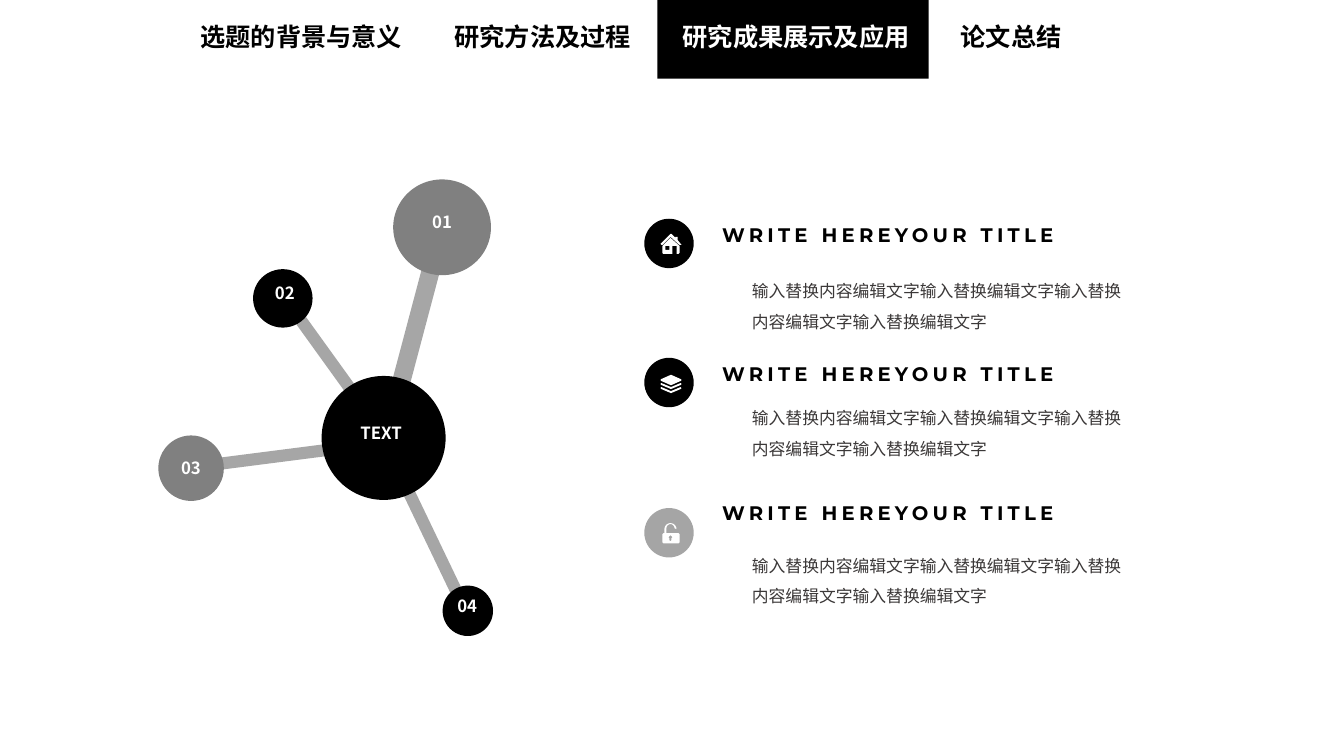
from dataclasses import dataclass
from math import atan2, cos, pi, sin

from lxml.etree import SubElement
from pptx import Presentation
from pptx.dml.color import RGBColor
from pptx.enum.shapes import MSO_SHAPE
from pptx.enum.text import MSO_ANCHOR, MSO_AUTO_SIZE, PP_ALIGN
from pptx.oxml.ns import qn
from pptx.util import Inches, Pt

BLACK = RGBColor(0x00, 0x00, 0x00)
WHITE = RGBColor(0xFF, 0xFF, 0xFF)
INK = RGBColor(0x3B, 0x38, 0x38)
GREY = RGBColor(0x80, 0x80, 0x80)
SPOKE_GREY = RGBColor(0xA6, 0xA6, 0xA6)
ICON_GREY = RGBColor(0xA5, 0xA5, 0xA5)
CJK = "Noto Sans CJK SC"
LATIN = "Montserrat"
BODY = "输入替换内容编辑文字输入替换编辑文字输入替换内容编辑文字输入替换编辑文字"

Point = tuple[float, float]
Outline = list[Point]


@dataclass
class Style:
    size: float
    color: RGBColor
    font: str = CJK
    bold: bool = True
    align: PP_ALIGN = PP_ALIGN.LEFT
    line_spacing: float = 1.0
    tracking: float = 0


@dataclass
class Tab:
    text: str
    left: float
    width: float


@dataclass
class Spoke:
    start: Point
    end: Point
    radius: float


@dataclass
class Node:
    text: str
    left: float
    top: float
    width: float
    height: float
    color: RGBColor
    label_left: float
    label_top: float
    label_width: float = 0.97


@dataclass
class Item:
    title_top: float
    body_top: float
    icon_top: float
    icon_color: RGBColor
    icon: list[Outline]


def write(sp, text: str, style: Style, wrap: bool = True) -> None:
    tf = sp.text_frame
    tf.word_wrap = wrap
    tf.auto_size = MSO_AUTO_SIZE.SHAPE_TO_FIT_TEXT
    tf.vertical_anchor = MSO_ANCHOR.TOP
    p = tf.paragraphs[0]
    p.text = text
    p.alignment = style.align
    p.line_spacing = style.line_spacing
    p.font.size = Pt(style.size)
    p.font.bold = style.bold
    p.font.name = style.font
    p.font.color.rgb = style.color
    props = p._p.pPr.find(qn("a:defRPr"))
    SubElement(props, qn("a:ea")).set("typeface", style.font)
    if style.tracking:
        props.set("spc", str(int(style.tracking * 100)))


def add_text(s, text: str, left: float, top: float, width: float, height: float,
             style: Style, wrap: bool = True) -> None:
    sp = s.shapes.add_textbox(Inches(left), Inches(top), Inches(width), Inches(height))
    write(sp, text, style, wrap)


def paint(sp, color: RGBColor) -> None:
    sp.shadow.inherit = False
    sp.fill.solid()
    sp.fill.fore_color.rgb = color
    sp.line.fill.background()


def add_solid(s, kind: MSO_SHAPE, left: float, top: float, width: float, height: float,
              color: RGBColor):
    sp = s.shapes.add_shape(kind, Inches(left), Inches(top), Inches(width), Inches(height))
    paint(sp, color)
    return sp


def add_outlines(s, outlines: list[Outline], color: RGBColor) -> None:
    scaled = [[(Inches(x), Inches(y)) for x, y in outline] for outline in outlines]
    builder = s.shapes.build_freeform(*scaled[0][0])
    builder.add_line_segments(scaled[0][1:])
    for outline in scaled[1:]:
        builder.move_to(*outline[0])
        builder.add_line_segments(outline[1:])
    paint(builder.convert_to_shape(), color)


def arc(center: Point, radius: float, first: float, last: float, steps: int = 12) -> Outline:
    angles = [first + (last - first) * i / steps for i in range(steps + 1)]
    return [(center[0] + radius * cos(a), center[1] + radius * sin(a)) for a in angles]


def capsule(spoke: Spoke) -> Outline:
    (x1, y1), (x2, y2) = spoke.start, spoke.end
    a = atan2(y2 - y1, x2 - x1)
    return (arc(spoke.end, spoke.radius, a - pi / 2, a + pi / 2)
            + arc(spoke.start, spoke.radius, a + pi / 2, a + 3 * pi / 2))


def chevron(top: float) -> Outline:
    return [(6.56, top), (6.655, top + 0.04), (6.75, top), (6.76, top + 0.01),
            (6.75, top + 0.02), (6.655, top + 0.06), (6.56, top + 0.02), (6.55, top + 0.01)]


HOUSE = [
    [(6.65, 2.32), (6.55, 2.42), (6.56, 2.43), (6.57, 2.43), (6.65, 2.35), (6.74, 2.43),
     (6.76, 2.43), (6.72, 2.38), (6.72, 2.35), (6.7, 2.35), (6.7, 2.36), (6.66, 2.32)],
    [(6.65, 2.36), (6.74, 2.44), (6.74, 2.51), (6.73, 2.52), (6.71, 2.52), (6.71, 2.44),
     (6.67, 2.44), (6.67, 2.52), (6.58, 2.52), (6.57, 2.51), (6.57, 2.44)],
    [(6.6, 2.44), (6.64, 2.44), (6.64, 2.48), (6.6, 2.48)],
]
LAYERS = [
    [(6.65, 3.72), (6.66, 3.72), (6.75, 3.76), (6.76, 3.77), (6.75, 3.78),
     (6.66, 3.82), (6.65, 3.82), (6.56, 3.78), (6.55, 3.77), (6.56, 3.76)],
    chevron(3.8),
    chevron(3.84),
]
PADLOCK = [
    [(6.57, 5.3), (6.58, 5.29), (6.59, 5.29), *arc((6.65, 5.25), 0.06, pi, 2 * pi),
     *arc((6.65, 5.24), 0.04, 2 * pi, pi), (6.61, 5.29), (6.73, 5.29), (6.74, 5.3),
     (6.74, 5.38), (6.73, 5.39), (6.58, 5.39), (6.57, 5.38)],
    [(6.65, 5.31), (6.63, 5.33), (6.64, 5.34), (6.64, 5.36), (6.65, 5.37),
     (6.66, 5.36), (6.66, 5.34), (6.67, 5.33)],
]

TABS = [
    Tab("选题的背景与意义", 1.89, 2.24),
    Tab("研究方法及过程", 4.41, 1.97),
    Tab("论文总结", 9.43, 1.21),
]
SPOKES = [
    Spoke((3.86, 4.24), (4.38, 2.28), 0.09),
    Spoke((3.7, 4.17), (2.9, 3.06), 0.06),
    Spoke((4.0, 4.77), (4.59, 6.0), 0.06),
    Spoke((3.51, 4.43), (2.03, 4.62), 0.06),
]
NODES = [
    Node("TEXT", 3.19, 3.73, 1.23, 1.23, BLACK, 3.19, 4.14, 1.18),
    Node("01", 3.9, 1.78, 0.97, 0.95, GREY, 3.9, 2.05),
    Node("02", 2.51, 2.67, 0.59, 0.58, BLACK, 2.34, 2.76),
    Node("03", 1.57, 4.32, 0.65, 0.65, GREY, 1.41, 4.49),
    Node("04", 4.39, 5.81, 0.5, 0.5, BLACK, 4.15, 5.86),
]
ITEMS = [
    Item(2.16, 2.64, 2.17, BLACK, HOUSE),
    Item(3.54, 3.9, 3.55, BLACK, LAYERS),
    Item(4.92, 5.36, 5.04, ICON_GREY, PADLOCK),
]


def add_tabs(s) -> None:
    bar = add_solid(s, MSO_SHAPE.RECTANGLE, 6.52, -0.01, 2.69, 0.79, BLACK)
    s.shapes._spTree.insert(2, bar._element)
    title = s.shapes.title
    title.left, title.top = Inches(6.67), Inches(0.16)
    title.width, title.height = Inches(2.47), Inches(0.4)
    write(title, "研究成果展示及应用", Style(18, WHITE), wrap=False)
    for tab in TABS:
        add_text(s, tab.text, tab.left, 0.16, tab.width, 0.4, Style(18, BLACK), wrap=False)


def add_hub(s) -> None:
    for spoke in SPOKES:
        add_outlines(s, [capsule(spoke)], SPOKE_GREY)
    label = Style(12, WHITE, align=PP_ALIGN.CENTER)
    for n in NODES:
        add_solid(s, MSO_SHAPE.OVAL, n.left, n.top, n.width, n.height, n.color)
        add_text(s, n.text, n.label_left, n.label_top, n.label_width, 0.35, label)


def add_items(s) -> None:
    heading = Style(14, BLACK, LATIN, align=PP_ALIGN.CENTER, tracking=3)
    body = Style(12, INK, bold=False, line_spacing=1.5)
    for item in ITEMS:
        add_solid(s, MSO_SHAPE.OVAL, 6.39, item.icon_top, 0.49, 0.49, item.icon_color)
        add_outlines(s, item.icon, WHITE)
        add_text(s, "WRITE HEREYOUR TITLE", 6.55, item.title_top, 4.51, 0.67, heading)
        add_text(s, BODY, 7.36, item.body_top, 3.87, 0.71, body)


def main() -> None:
    prs = Presentation()
    prs.slide_width, prs.slide_height = Inches(13.33), Inches(7.5)
    s = prs.slides.add_slide(prs.slide_layouts[5])
    add_tabs(s)
    add_hub(s)
    add_items(s)
    prs.save("out.pptx")


if __name__ == "__main__":
    main()
